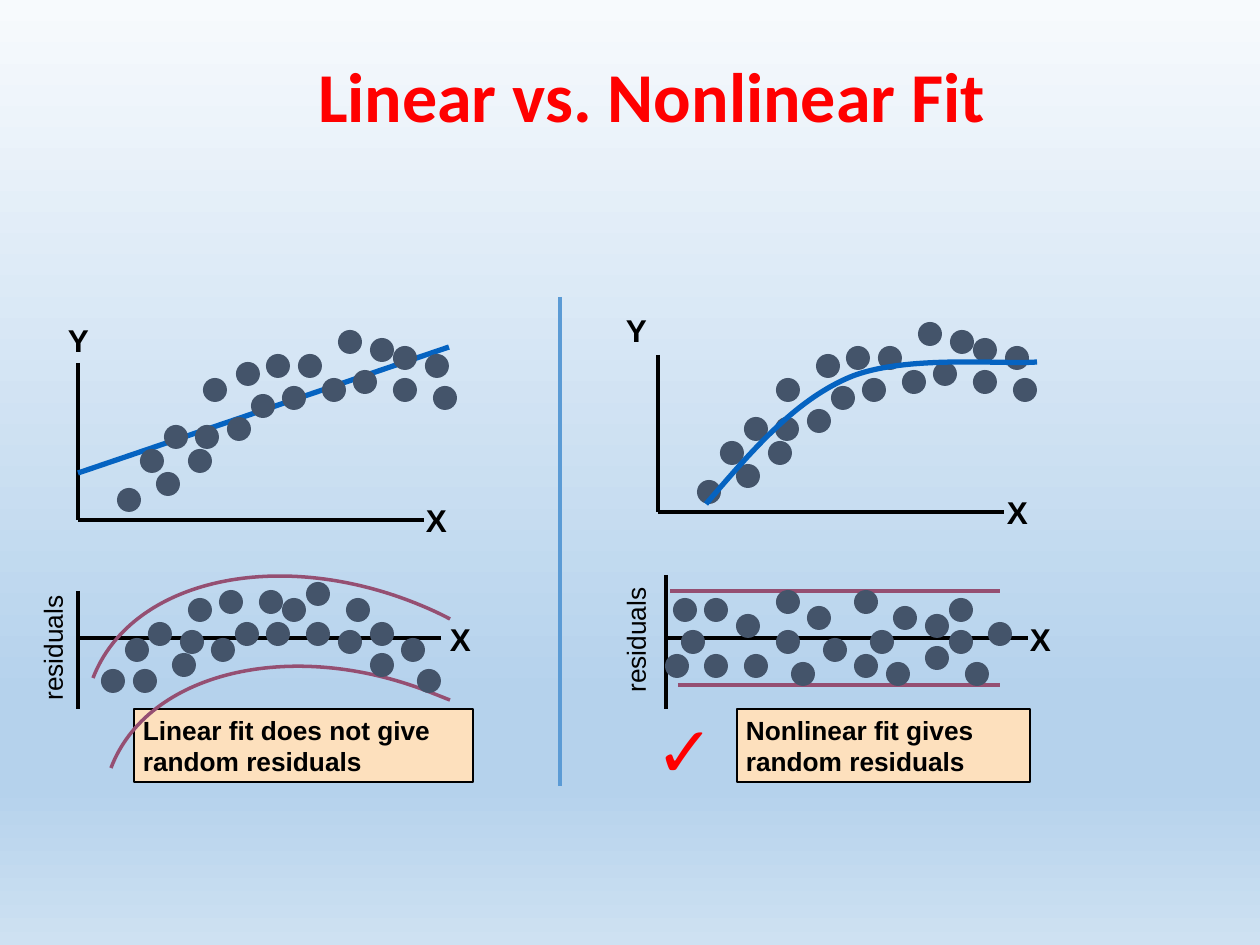
from dataclasses import dataclass

from lxml import etree
from pptx import Presentation
from pptx.dml.color import RGBColor
from pptx.enum.shapes import MSO_CONNECTOR, MSO_SHAPE
from pptx.enum.text import MSO_ANCHOR, PP_ALIGN
from pptx.oxml.ns import qn
from pptx.util import Emu, Pt

STRAIGHT = MSO_CONNECTOR.STRAIGHT
OVAL, RECTANGLE = MSO_SHAPE.OVAL, MSO_SHAPE.RECTANGLE
TOP, MIDDLE = MSO_ANCHOR.TOP, MSO_ANCHOR.MIDDLE
LEFT, CENTER = PP_ALIGN.LEFT, PP_ALIGN.CENTER

EMU_PER_PX = 914400 / 126
DOT_SIZE = 24
BLACK, RED, DOT, FIT, BAND = "000000", "FF0000", "44546A", "0563C1", "954F72"
DIVIDER, NOTE_FILL = "5B9BD5", "FDE0BD"
BACKGROUND_STOPS = [(0, "F7FAFD"), (74, "B5D2EC"), (83, "B5D2EC"), (100, "CEE1F2")]

Point = tuple[int, int]


@dataclass
class Line:
    start: Point
    end: Point
    color: str = BLACK
    width: float = 2


@dataclass
class Curve:
    """A start point followed by three Bezier points per segment."""
    points: list[Point]
    color: str
    width: float


@dataclass
class Label:
    text: str
    box: tuple[int, int, int, int]
    size: float = 18
    color: str = BLACK
    bold: bool = True
    font: str = "Arial"
    align: int = LEFT
    anchor: int = TOP
    rotation: int = 0
    spacing: float = 1.0


# Scatter points as dot centres; the right plot shares all but one with the left
SHARED_SCATTER = [
    (129, 500), (168, 484), (310, 366), (334, 390), (382, 350), (200, 461),
    (365, 382), (405, 390), (405, 358), (437, 366), (350, 342), (263, 406),
    (278, 366), (248, 374), (152, 461), (176, 437), (207, 437), (294, 398),
    (445, 398), (239, 429)]
LINEAR_SCATTER = SHARED_SCATTER + [(215, 390)]
NONLINEAR_SCATTER = [(x + 580, y - 8) for x, y in SHARED_SCATTER] + [(788, 390)]
LINEAR_RESIDUALS = [
    (113, 681), (145, 681), (294, 610), (318, 594), (350, 642), (184, 665),
    (358, 610), (382, 665), (382, 634), (413, 650), (318, 634), (247, 634),
    (271, 602), (231, 602), (137, 650), (160, 634), (192, 642), (278, 634),
    (200, 610), (429, 681), (223, 650)]
NONLINEAR_RESIDUALS = [
    (748, 626), (716, 610), (677, 666), (693, 642), (685, 610), (788, 642),
    (788, 602), (716, 666), (866, 602), (819, 618), (803, 674), (756, 666),
    (937, 626), (866, 666), (835, 650), (937, 658), (882, 642), (898, 674),
    (905, 618), (977, 674), (961, 610), (1000, 634), (961, 642)]

LINES = [
    Line((560, 297), (560, 786), DIVIDER, 2.25),
    # Linear fit: plot axes, fit, residual axes
    Line((78, 363), (78, 520)), Line((78, 520), (424, 520)),
    Line((78, 473), (449, 347), FIT, 3),
    Line((78, 591), (78, 709)), Line((78, 638), (441, 638)),
    # Nonlinear fit: plot axes, residual axes, residual band
    Line((658, 355), (658, 512)), Line((658, 512), (1004, 512)),
    Line((666, 575), (666, 709)), Line((666, 638), (1028, 638)),
    Line((670, 591), (1000, 591), BAND), Line((678, 685), (1000, 685), BAND)]

RESIDUAL_CURVES = [
    Curve([(93, 678), (130, 582), (271, 548), (410, 601),
           (423, 606), (437, 612), (450, 619)], BAND, 2),
    Curve([(111, 768), (147, 673), (289, 638), (427, 691),
           (435, 694), (442, 697), (450, 700)], BAND, 2)]
NONLINEAR_FIT = Curve([(706, 504), (750, 453), (793, 402), (848, 378),
                       (903, 354), (1006, 365), (1037, 362)], FIT, 3)

NOTES = [
    Label("Linear fit does not give random residuals", (134, 709, 339, 73), 15),
    Label("Nonlinear fit gives random residuals", (737, 709, 293, 73), 15)]
LABELS = [
    Label("Linear vs. Nonlinear Fit", (270, 49, 763, 102), 40, RED, True,
          "Calibri", CENTER, MIDDLE, spacing=0.9),
    Label("✓", (646, 702, 135, 96), 40.5, RED, False),
    Label("Y", (59, 316, 38, 50)), Label("Y", (617, 306, 38, 50)),
    Label("X", (417, 496, 48, 48)), Label("X", (998, 488, 48, 48)),
    Label("X", (441, 615, 39, 48)), Label("X", (1021, 615, 42, 48)),
    Label("residuals", (-15, 621, 135, 42), 15, bold=False, rotation=270),
    Label("residuals", (568, 613, 135, 42), 15, bold=False, rotation=270)]


def px(value: float) -> Emu:
    return Emu(round(value * EMU_PER_PX))


def rgb(color: str) -> RGBColor:
    return RGBColor.from_string(color)


def set_line(shape, color: str, width: float) -> None:
    shape.line.color.rgb = rgb(color)
    shape.line.width = Pt(width)


def draw_background(slide) -> None:
    fill = slide.background.fill
    fill.gradient()
    fill.gradient_angle = 270
    stops = slide.element.find(".//" + qn("a:gsLst"))
    for old_stop in list(stops):
        stops.remove(old_stop)
    for percent, color in BACKGROUND_STOPS:
        stop = etree.SubElement(stops, qn("a:gs"), pos=str(percent * 1000))
        etree.SubElement(stop, qn("a:srgbClr"), val=color)


def draw_line(slide, line: Line) -> None:
    connector = slide.shapes.add_connector(
        STRAIGHT, *(px(v) for v in line.start + line.end))
    set_line(connector, line.color, line.width)
    etree.SubElement(connector._element.spPr, qn("a:effectLst"))


def draw_curve(slide, curve: Curve) -> None:
    builder = slide.shapes.build_freeform(*curve.points[0], scale=EMU_PER_PX)
    builder.add_line_segments(curve.points[1:], close=False)
    shape = builder.convert_to_shape()
    shape.fill.background()
    shape.shadow.inherit = False
    set_line(shape, curve.color, curve.width)
    # Turn every three line points into one Bezier segment
    outline = shape._element.find(".//" + qn("a:path"))
    outline.set("fill", "none")
    steps = outline.findall(qn("a:lnTo"))
    for first in range(0, len(steps), 3):
        segment = etree.SubElement(outline, qn("a:cubicBezTo"))
        for step in steps[first:first + 3]:
            segment.append(step[0])
            outline.remove(step)


def draw_dots(slide, centres: list[Point]) -> None:
    for x, y in centres:
        dot = slide.shapes.add_shape(
            OVAL, px(x - DOT_SIZE / 2), px(y - DOT_SIZE / 2), px(DOT_SIZE), px(DOT_SIZE))
        dot.shadow.inherit = False
        dot.fill.solid()
        dot.fill.fore_color.rgb = rgb(DOT)
        dot.line.fill.background()


def write_text(shape, label: Label) -> None:
    frame = shape.text_frame
    frame_format = {"word_wrap": True, "vertical_anchor": label.anchor,
                    "margin_left": px(9), "margin_right": px(9),
                    "margin_top": px(5), "margin_bottom": px(5)}
    paragraph = frame.paragraphs[0]
    run = paragraph.add_run()
    run.text = label.text
    run.font.color.rgb = rgb(label.color)
    formats = [
        (frame, frame_format),
        (paragraph, {"alignment": label.align, "line_spacing": label.spacing}),
        (run.font, {"name": label.font, "size": Pt(label.size), "bold": label.bold})]
    for target, values in formats:
        for name, value in values.items():
            setattr(target, name, value)


def draw_label(slide, label: Label) -> None:
    box = slide.shapes.add_textbox(*(px(v) for v in label.box))
    box.rotation = label.rotation
    write_text(box, label)


def draw_note(slide, note: Label) -> None:
    box = slide.shapes.add_shape(RECTANGLE, *(px(v) for v in note.box))
    box.shadow.inherit = False
    box.fill.solid()
    box.fill.fore_color.rgb = rgb(NOTE_FILL)
    set_line(box, BLACK, 1)
    write_text(box, note)


def main() -> None:
    deck = Presentation()
    deck.slide_width, deck.slide_height = px(1260), px(945)
    slide = deck.slides.add_slide(deck.slide_layouts[6])
    draw_background(slide)
    # Back to front: notes, lines, residual curves, dots, fit curve, labels
    layers = [(draw_note, NOTES), (draw_line, LINES), (draw_curve, RESIDUAL_CURVES),
              (draw_dots, [LINEAR_RESIDUALS, NONLINEAR_RESIDUALS,
                           LINEAR_SCATTER, NONLINEAR_SCATTER]),
              (draw_curve, [NONLINEAR_FIT]), (draw_label, LABELS)]
    for draw, parts in layers:
        for part in parts:
            draw(slide, part)
    deck.save("out.pptx")


if __name__ == "__main__":
    main()
